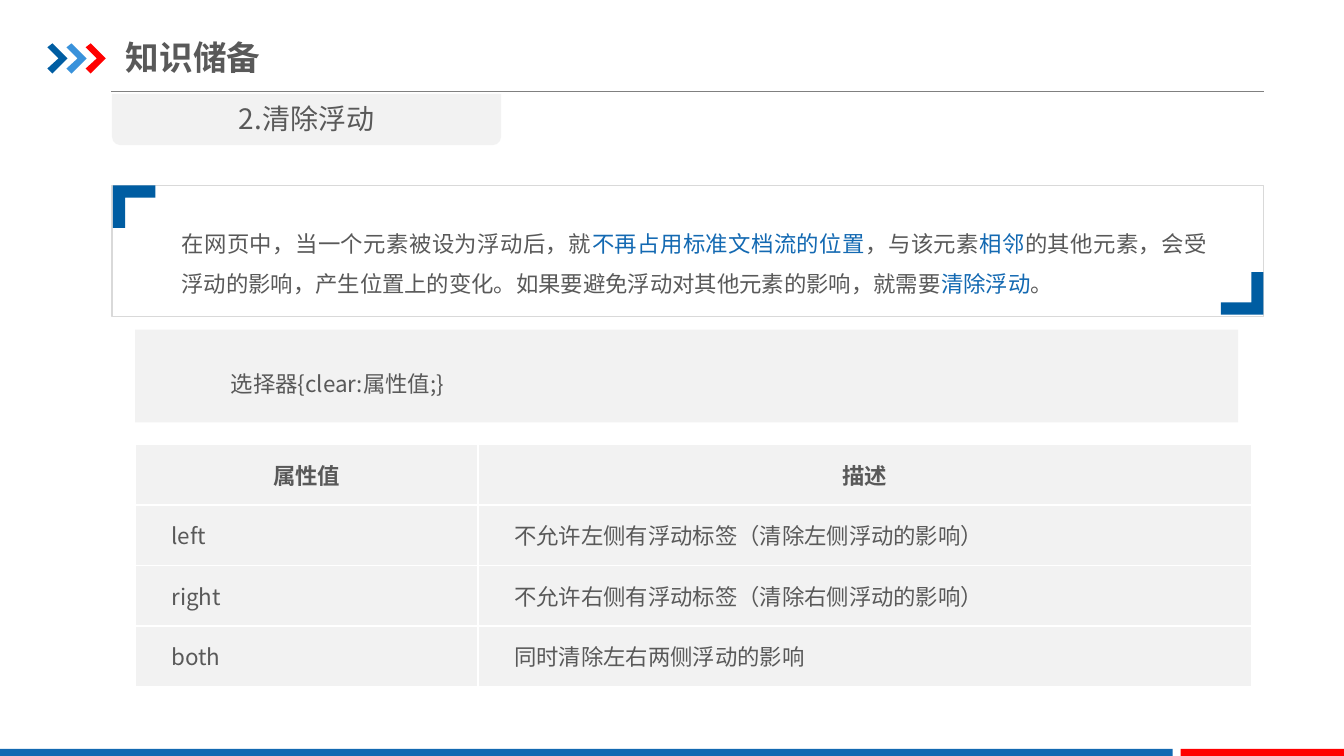
import pptx
import pptx.dml.color
import pptx.enum.shapes
import pptx.enum.text
import pptx.oxml.ns
import pptx.util
from lxml import etree

Inches = pptx.util.Inches
RGBColor = pptx.dml.color.RGBColor
SHAPE = pptx.enum.shapes.MSO_SHAPE
ALIGN = pptx.enum.text.PP_ALIGN
ANCHOR = pptx.enum.text.MSO_ANCHOR
qn = pptx.oxml.ns.qn

NAVY = RGBColor(0x00, 0x5D, 0xA2)
SKY = RGBColor(0x39, 0x92, 0xDB)
BLUE = RGBColor(0x13, 0x69, 0xB2)
RED = RGBColor(0xFF, 0x00, 0x00)
TEXT = RGBColor(0x59, 0x59, 0x59)
GRAY = RGBColor(0x80, 0x80, 0x80)
BORDER = RGBColor(0xD9, 0xD9, 0xD9)
PANEL = RGBColor(0xF2, 0xF2, 0xF2)
WHITE = RGBColor(0xFF, 0xFF, 0xFF)


class SlidePainter:
    """Draws styled elements on one slide."""

    font = "Noto Sans CJK SC"

    def __init__(self, page):
        self.page = page

    def finish(self, shape, fill=None, line=None):
        shape.shadow.inherit = False
        if fill is None:
            shape.fill.background()
        else:
            shape.fill.solid()
            shape.fill.fore_color.rgb = fill
        if line is None:
            shape.line.fill.background()
        else:
            shape.line.color.rgb = line
            shape.line.width = pptx.util.Pt(1)
        return shape

    def shape(self, kind, place, fill=None, line=None):
        shape = self.page.shapes.add_shape(kind, *map(Inches, place))
        return self.finish(shape, fill, line)

    def outline(self, left, top, points, fill):
        corners = [(Inches(left + x), Inches(top + y)) for x, y in points]
        builder = self.page.shapes.build_freeform(*corners[0], scale=1.0)
        builder.add_line_segments(corners[1:], close=True)
        return self.finish(builder.convert_to_shape(), fill)

    def rule(self, left, top, right):
        line = self.page.shapes.add_connector(
            pptx.enum.shapes.MSO_CONNECTOR.STRAIGHT,
            Inches(left), Inches(top), Inches(right), Inches(top))
        line.line.color.rgb = GRAY
        line.line.width = pptx.util.Pt(0.75)
        etree.SubElement(line._element.spPr, qn("a:effectLst"))

    def style(self, para, size, bold=False, color=TEXT):
        for span in para.runs:
            span.font.size = pptx.util.Pt(size)
            span.font.bold = bold
            span.font.color.rgb = color
            span.font.name = self.font
            east_asian = etree.SubElement(span._r.get_or_add_rPr(), qn("a:ea"))
            east_asian.set("typeface", self.font)

    def text(self, place, parts, size, bold=False, align=ALIGN.LEFT, spacing=None,
             insets=(0.1, 0.05), anchor=ANCHOR.TOP, grow=True):
        frame = self.page.shapes.add_textbox(*map(Inches, place)).text_frame
        frame.word_wrap = True
        frame.vertical_anchor = anchor
        frame.margin_left = frame.margin_right = Inches(insets[0])
        frame.margin_top = frame.margin_bottom = Inches(insets[1])
        if grow:
            frame.auto_size = pptx.enum.text.MSO_AUTO_SIZE.SHAPE_TO_FIT_TEXT
        para = frame.paragraphs[0]
        para.alignment = align
        para.line_spacing = spacing
        for words, _ in parts:
            para.add_run().text = words
        self.style(para, size, bold)
        for span, (_, color) in zip(para.runs, parts):
            span.font.color.rgb = color

    def cell(self, cell, words, header):
        cell.margin_left = cell.margin_right = Inches(0.07)
        cell.margin_top = cell.margin_bottom = 0
        cell.vertical_anchor = ANCHOR.MIDDLE
        properties = cell._tc.get_or_add_tcPr()
        for side in ("lnL", "lnR", "lnT", "lnB"):
            edge = etree.SubElement(properties, qn(f"a:{side}"), w="12700")
            paint = etree.SubElement(edge, qn("a:solidFill"))
            etree.SubElement(paint, qn("a:srgbClr"), val=str(WHITE))
        cell.fill.solid()
        cell.fill.fore_color.rgb = PANEL
        para = cell.text_frame.paragraphs[0]
        para.text = words
        para.alignment = ALIGN.CENTER if header else ALIGN.JUSTIFY
        if not header:
            para._p.get_or_add_pPr().set("indent", str(Inches(0.29)))
        self.style(para, 16, header)

    def table(self, left, top, widths, height, rows):
        table = self.page.shapes.add_table(
            len(rows), len(widths), Inches(left), Inches(top),
            Inches(sum(widths)), Inches(height * len(rows))).table
        for column, width in zip(table.columns, widths):
            column.width = Inches(width)
        for index, words in enumerate(rows):
            table.rows[index].height = Inches(height)
            for column, entry in enumerate(words):
                self.cell(table.cell(index, column), entry, index == 0)


def main():
    deck = pptx.Presentation()
    deck.slide_width, deck.slide_height = Inches(13.33), Inches(7.5)
    painter = SlidePainter(deck.slides.add_slide(deck.slide_layouts[6]))

    painter.rule(1.1, 0.91, 12.54)
    chevron = [(0, 0.04), (0.05, 0), (0.2, 0.15), (0.05, 0.3), (0, 0.25), (0.11, 0.15)]
    for index, color in enumerate((NAVY, SKY, RED)):
        painter.outline(0.47 + 0.19 * index, 0.43, chevron, color)
    painter.shape(SHAPE.RECTANGLE, (0, 7.43, 11.63, 0.09), BLUE)
    painter.shape(SHAPE.RECTANGLE, (11.71, 7.43, 1.63, 0.09), RED)
    painter.text((1.25, 0.29, 4.26, 0.55), [("知识储备", TEXT)], 24, bold=True,
                 insets=(0, 0.07), anchor=ANCHOR.MIDDLE, grow=False)

    tab = painter.shape(SHAPE.ROUND_2_SAME_RECTANGLE, (1.11, 0.93, 3.86, 0.51), PANEL)
    tab.rotation = 180
    painter.text((1.11, 0.96, 3.86, 0.44), [("2.清除浮动", TEXT)], 20, align=ALIGN.CENTER)

    frame = painter.shape(SHAPE.ROUNDED_RECTANGLE, (1.11, 1.84, 11.42, 1.3), line=BORDER)
    frame.adjustments[0] = 0
    painter.text((1.8, 2.15, 10.17, 0.76), [
        ("在网页中，当一个元素被设为浮动后，就", TEXT),
        ("不再占用标准文档流的位置", BLUE),
        ("，与该元素", TEXT),
        ("相邻", BLUE),
        ("的其他元素，会受浮动的影响，产生位置上的变化。"
         "如果要避免浮动对其他元素的影响，就需要", TEXT),
        ("清除浮动", BLUE),
        ("。", TEXT),
    ], 16, align=ALIGN.JUSTIFY, spacing=1.5, insets=(0, 0))
    bracket = [(0, 0), (0.42, 0), (0.42, 0.12), (0.12, 0.12), (0.12, 0.42), (0, 0.42)]
    painter.outline(1.12, 1.84, bracket, NAVY)
    painter.outline(12.11, 2.7, bracket, NAVY).rotation = 180

    painter.shape(SHAPE.RECTANGLE, (1.34, 3.27, 10.94, 0.92), PANEL)
    painter.text((2.19, 3.49, 9.46, 0.46), [("选择器{clear:属性值;}", TEXT)], 16, spacing=1.5)

    painter.table(1.34, 4.41, (3.4, 7.67), 0.6, [
        ("属性值", "描述"),
        ("left", "不允许左侧有浮动标签（清除左侧浮动的影响）"),
        ("right", "不允许右侧有浮动标签（清除右侧浮动的影响）"),
        ("both", "同时清除左右两侧浮动的影响"),
    ])
    deck.save("out.pptx")


if __name__ == "__main__":
    main()
